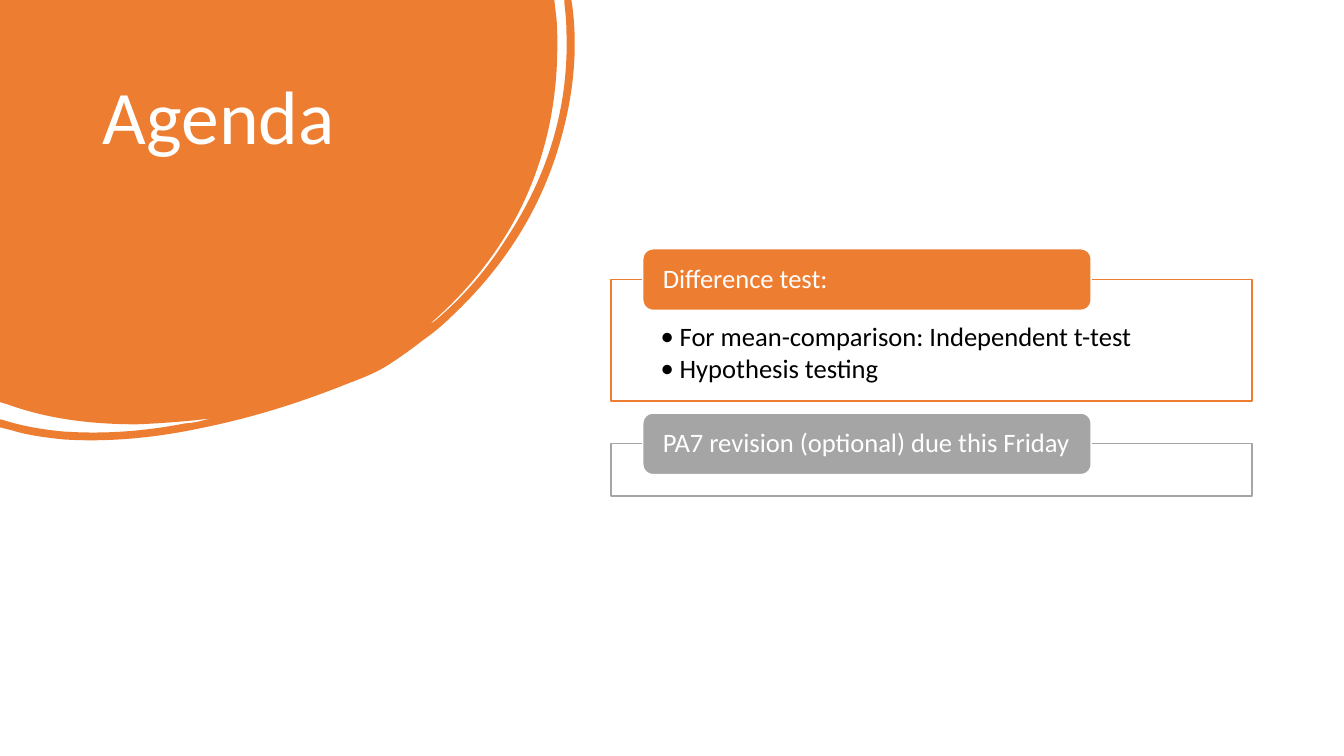
import pptx
import pptx.util
import pptx.dml.color
import pptx.enum.shapes
import pptx.enum.text
import pptx.oxml
import pptx.oxml.ns

Cm, Pt = pptx.util.Cm, pptx.util.Pt
RGB = pptx.dml.color.RGBColor
KIND = pptx.enum.shapes.MSO_SHAPE
ALIGN = pptx.enum.text.PP_ALIGN
ANCHOR = pptx.enum.text.MSO_ANCHOR
NS = pptx.oxml.ns.nsdecls("a")
qn = pptx.oxml.ns.qn

ORANGE = RGB(0xED, 0x7D, 0x31)
GREY = RGB(0xA5, 0xA5, 0xA5)
WHITE = RGB(0xFF, 0xFF, 0xFF)
BLACK = RGB(0, 0, 0)


def panel(kind, x, y, w, h, fill, line):
    shape = slide.shapes.add_shape(kind, Cm(x), Cm(y), Cm(w), Cm(h))
    shape.shadow.inherit = False
    shape.fill.solid()
    shape.fill.fore_color.rgb = fill
    shape.line.color.rgb = line
    shape.line.width = Pt(1)
    return shape


def write(shape, lines, size, color, frame, after=0, bullet=False):
    body = shape.text_frame
    for name, value in frame.items():
        setattr(body, name, value)
    body.text = "\n".join(lines)
    for para in body.paragraphs:
        if bullet:
            props = para._p.get_or_add_pPr()
            props.set("marL", str(Cm(0.48)))
            props.set("indent", str(-Cm(0.48)))
            for mark in ('buFont {} typeface="Calibri"', 'buChar {} char="•"'):
                props.append(pptx.oxml.parse_xml(f"<a:{mark.format(NS)}/>"))
        look = {"alignment": ALIGN.LEFT, "line_spacing": 0.9,
                "space_before": Pt(0), "space_after": Pt(after)}
        for name, value in look.items():
            setattr(para, name, value)
        for name, value in {"name": "Calibri", "size": Pt(size)}.items():
            setattr(para.font, name, value)
        para.font.color.rgb = color


deck = pptx.Presentation()
deck.slide_width, deck.slide_height = Cm(33.87), Cm(19.05)
slide = deck.slides.add_slide(deck.slide_layouts[5])

# Blob outline in inches: pairs are corners, sixes are Bezier curves
OUTLINE = [
    (0, 0), (5.5, 0), (5.52, 0.17),
    (5.53, 0.26, 5.53, 0.36, 5.53, 0.45),
    (5.53, 1.01, 5.42, 1.54, 5.18, 2.04),
    (4.96, 2.49, 4.65, 2.88, 4.27, 3.21),
    (4.29, 3.21, 4.3, 3.19, 4.32, 3.18),
    (4.59, 2.95, 4.82, 2.69, 5.01, 2.39),
    (5.43, 1.76, 5.65, 1.07, 5.62, 0.3),
    (5.62, 0.21, 5.61, 0.12, 5.6, 0.03),
    (5.6, 0), (5.67, 0), (5.68, 0.07),
    (5.74, 0.54, 5.68, 1.02, 5.53, 1.5),
    (5.33, 2.14, 4.97, 2.68, 4.48, 3.14),
    (4.39, 3.23, 4.29, 3.31, 4.19, 3.38),
    (4.09, 3.46, 3.99, 3.53, 3.87, 3.61),
    (3.75, 3.69, 3.6, 3.75, 3.44, 3.81),
    (2.99, 3.99, 2.52, 4.14, 2.03, 4.24),
    (1.57, 4.34, 1.1, 4.39, 0.63, 4.36),
    (0.45, 4.34, 0.28, 4.32, 0.12, 4.27),
    (0, 4.24), (0, 4.16), (0.04, 4.17),
    (0.23, 4.23, 0.42, 4.26, 0.61, 4.28),
    (1.03, 4.31, 1.43, 4.28, 1.84, 4.2),
    (1.89, 4.2, 1.93, 4.19, 1.98, 4.18),
    (2.02, 4.17, 2.06, 4.16, 2.1, 4.15),
    (1.86, 4.18, 1.61, 4.2, 1.36, 4.21),
    (0.92, 4.21, 0.48, 4.16, 0.07, 4.01),
    (0, 3.99),
]
parts = [[Cm(value * 2.54) for value in part] for part in OUTLINE]
draft = slide.shapes.build_freeform(0, 0)
draft.add_line_segments([part[-2:] for part in parts[1:]])
blob = draft.convert_to_shape()
blob.shadow.inherit = False
blob.fill.solid()
blob.fill.fore_color.rgb = ORANGE
blob.line.fill.background()

# Bend the segments that have control points
edges = list(blob._element.iter(qn("a:lnTo")))
for edge, part in zip(edges, parts[1:]):
    if len(part) == 6:
        spots = "".join(f'<a:pt x="{x}" y="{y}"/>'
                        for x, y in zip(part[::2], part[1::2]))
        curve = f"<a:cubicBezTo {NS}>{spots}</a:cubicBezTo>"
        edge.getparent().replace(edge, pptx.oxml.parse_xml(curve))
blob.width, blob.height = Cm(14.5), Cm(11.1)
trace = next(blob._element.iter(qn("a:path")))
trace.set("w", str(blob.width))
trace.set("h", str(blob.height))
slide.shapes._spTree.insert(2, blob._element)  # behind the title

# Title
title = slide.shapes.title
place = {"left": Cm(2.34), "top": Cm(1.88), "width": Cm(8.94), "height": Cm(5.64)}
for name, value in place.items():
    setattr(title, name, value)
write(title, ["Agenda"], 54, WHITE,
      {"vertical_anchor": ANCHOR.TOP, "word_wrap": True,
       "auto_size": pptx.enum.text.MSO_AUTO_SIZE.NONE})

# Agenda items: a framed box with a label over its top edge
BOX = {"margin_left": Cm(1.25), "margin_top": Cm(1.12), "margin_right": Cm(1.25),
       "margin_bottom": Cm(0.38), "vertical_anchor": ANCHOR.TOP, "word_wrap": True}
LABEL = {"margin_left": Cm(0.43), "margin_top": 0, "margin_right": 0,
         "margin_bottom": 0, "vertical_anchor": ANCHOR.MIDDLE, "word_wrap": True}
ITEMS = [
    (7.04, 3.07, ORANGE, "Difference test:",
     ["For mean-comparison: Independent t-test", "Hypothesis testing"]),
    (11.18, 1.32, GREY, "PA7 revision (optional) due this Friday", []),
]
for top, height, color, label, points in ITEMS:
    box = panel(KIND.RECTANGLE, 15.4, top, 16.15, height, WHITE, color)
    tint = box.fill._xPr.find(".//" + qn("a:srgbClr"))
    tint.append(pptx.oxml.parse_xml(f'<a:alpha {NS} val="90000"/>'))
    if points:
        write(box, points, 19, BLACK, BOX, after=2.4, bullet=True)
    tag = panel(KIND.ROUNDED_RECTANGLE, 16.2, top - 0.77, 11.3, 1.55, color, WHITE)
    write(tag, [label], 19, WHITE, LABEL)

deck.save("out.pptx")
